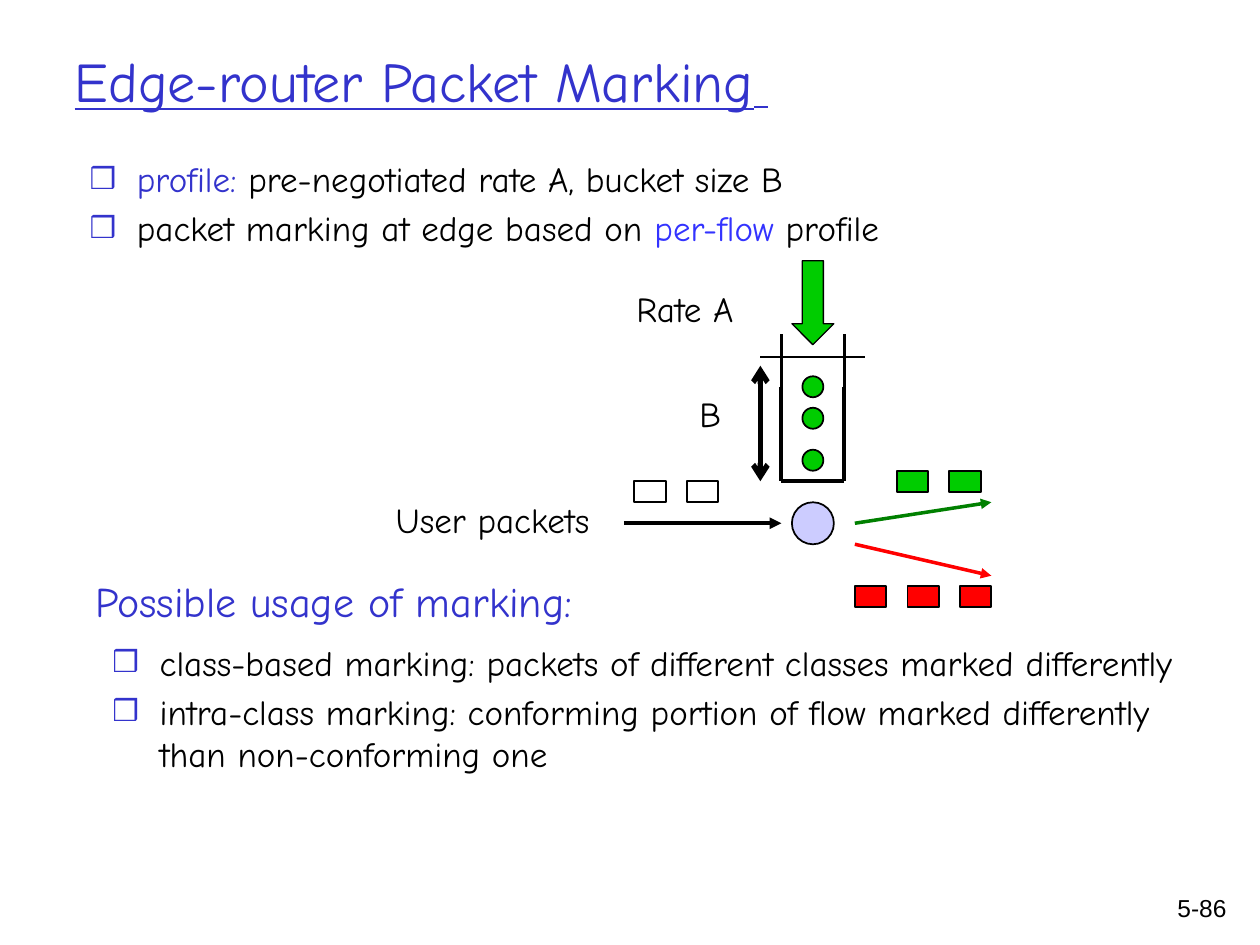
from lxml.etree import SubElement
from pptx import Presentation
from pptx.dml.color import RGBColor
from pptx.enum.shapes import MSO_CONNECTOR, MSO_SHAPE
from pptx.enum.text import MSO_ANCHOR, MSO_AUTO_SIZE, PP_ALIGN
from pptx.oxml.ns import qn
from pptx.util import Pt

COLORS = {
    "black": "000000", "white": "FFFFFF", "heading": "3333CC",
    "highlight": "3333FF", "token": "00CC00", "excess": "FF0000",
    "conforming": "008000", "marker": "CCCCFF",
}
FONT = "Comic Neue"


def color(name):
    return RGBColor.from_string(COLORS[name])


def place(shape, left, top, width, height):
    shape.left, shape.top = Pt(left), Pt(top)
    shape.width, shape.height = Pt(width), Pt(height)


def add_run(paragraph, text, size, color_name, font=FONT):
    run = paragraph.add_run()
    run.text = text
    run.font.name = font
    run.font.size = Pt(size)
    run.font.color.rgb = color(color_name)
    return run


def add_label(slide, box, text, size=20, color_name="black", font=FONT, align=PP_ALIGN.LEFT):
    frame = slide.shapes.add_textbox(*map(Pt, box)).text_frame
    frame.word_wrap = True
    paragraph = frame.paragraphs[0]
    paragraph.alignment = align
    add_run(paragraph, text, size, color_name, font)


def add_preset(slide, preset, box, fill, line_width=1):
    shape = slide.shapes.add_shape(preset, *map(Pt, box))
    shape.shadow.inherit = False
    shape.fill.solid()
    shape.fill.fore_color.rgb = color(fill)
    shape.line.color.rgb = color("black")
    shape.line.width = Pt(line_width)


def add_line(slide, start, end, width, color_name="black", head=None, tail=None):
    """Draw a straight line; head and tail name the arrowheads at start and end."""
    line = slide.shapes.add_connector(MSO_CONNECTOR.STRAIGHT, *map(Pt, (*start, *end)))
    line.line.color.rgb = color(color_name)
    line.line.width = Pt(width)
    properties = line.line._get_or_add_ln()
    for tag, kind in (("a:headEnd", head), ("a:tailEnd", tail)):
        if kind:
            SubElement(properties, qn(tag), type=kind)
    SubElement(line._element.spPr, qn("a:effectLst"))


def fill_title(title, box):
    place(title, *box)
    frame = title.text_frame
    frame.auto_size = MSO_AUTO_SIZE.NONE
    frame.vertical_anchor = MSO_ANCHOR.MIDDLE
    paragraph = frame.paragraphs[0]
    paragraph.alignment = PP_ALIGN.LEFT
    for text, size in (("Edge-router Packet Marking", 32), (" ", 24)):
        add_run(paragraph, text, size, "heading").font.underline = True


def fill_list(body, box, items):
    """Fill a body placeholder; each item is a list of (text, color) runs."""
    place(body, *box)
    frame = body.text_frame
    frame.auto_size = MSO_AUTO_SIZE.NONE
    for index, item in enumerate(items):
        paragraph = frame.add_paragraph() if index else frame.paragraphs[0]
        paragraph.space_before = Pt(4)
        properties = paragraph._p.get_or_add_pPr()
        properties.set("marL", str(Pt(27)))
        properties.set("indent", str(-Pt(27)))
        bullet_color = SubElement(properties, qn("a:buClr"))
        SubElement(bullet_color, qn("a:srgbClr"), val=COLORS["heading"])
        SubElement(properties, qn("a:buSzPct"), val="85000")
        SubElement(properties, qn("a:buChar"), char="❒")
        for text, color_name in item:
            add_run(paragraph, text, 20, color_name)


def draw_token_bucket(slide, left, top):
    """Draw the bucket fed at rate A, filled to depth B."""
    def at(x, y):
        return left + x, top + y

    right, rim, fill_top, floor = 36, 42, 72, 126
    add_line(slide, at(0, floor), at(right, floor), 2.25)
    for side in (0, right):
        add_line(slide, at(side, fill_top), at(side, floor), 2.25)
        add_line(slide, at(side, fill_top), at(side, rim), 2)
    for y in (66, 84, 108):
        add_preset(slide, MSO_SHAPE.OVAL, (*at(12, y), 12, 12), "token")
    add_preset(slide, MSO_SHAPE.DOWN_ARROW, (*at(6, 0), 24, 48), "token", 0.75)
    add_line(slide, at(-12, 55), at(48, 55), 0.75)
    add_line(slide, at(-12, 60), at(-12, floor), 3, head="arrow", tail="arrow")
    add_label(slide, (*at(-90, 12), 90, 31), "Rate A")
    add_label(slide, (*at(-54, 72), 28, 31), "B")


def draw_packet_flow(slide, left, top):
    """Draw user packets entering the marker and leaving in two colors."""
    def at(x, y):
        return left + x, top + y

    for x, y, count, fill in ((6, 6, 2, "white"), (156, 0, 2, "token"), (132, 66, 3, "excess")):
        for index in range(count):
            add_preset(slide, MSO_SHAPE.RECTANGLE, (*at(x + 30 * index, y), 18, 12), fill)
    add_preset(slide, MSO_SHAPE.OVAL, (*at(96, 18), 24, 24), "marker")
    add_line(slide, at(0, 30), at(90, 30), 2.25, tail="triangle")
    add_line(slide, at(132, 30), at(210, 18), 2, "conforming", tail="triangle")
    add_line(slide, at(132, 42), at(210, 60), 2, "excess", tail="triangle")
    add_label(slide, (*at(-137.5, 12.5), 168, 31), "User packets")


def main():
    presentation = Presentation()
    presentation.slide_width, presentation.slide_height = Pt(720), Pt(540)
    slide = presentation.slides.add_slide(presentation.slide_layouts[3])
    title, profile, usage = slide.placeholders

    fill_title(title, (35.5, 18.5, 612, 54))
    fill_list(profile, (44, 86.5, 630, 72), [
        [("profile: ", "heading"), ("pre-negotiated rate A, bucket size B", "black")],
        [("packet marking at edge based on ", "black"), ("per-flow", "highlight"),
         (" profile", "black")],
    ])
    fill_list(usage, (57, 363, 648, 144), [
        [("class-based marking: packets of different classes marked differently", "black")],
        [("intra-class marking: conforming portion of flow marked differently "
          "than non-conforming one", "black")],
    ])
    add_label(slide, (47.5, 325.5, 354, 36), "Possible usage of marking:", 24, "heading")
    draw_token_bucket(slide, 446.5, 149)
    draw_packet_flow(slide, 356.5, 269)
    add_label(slide, (654.5, 507, 53.5, 36), "5-86", 14, font="Arial", align=PP_ALIGN.RIGHT)
    presentation.save("out.pptx")


if __name__ == "__main__":
    main()
